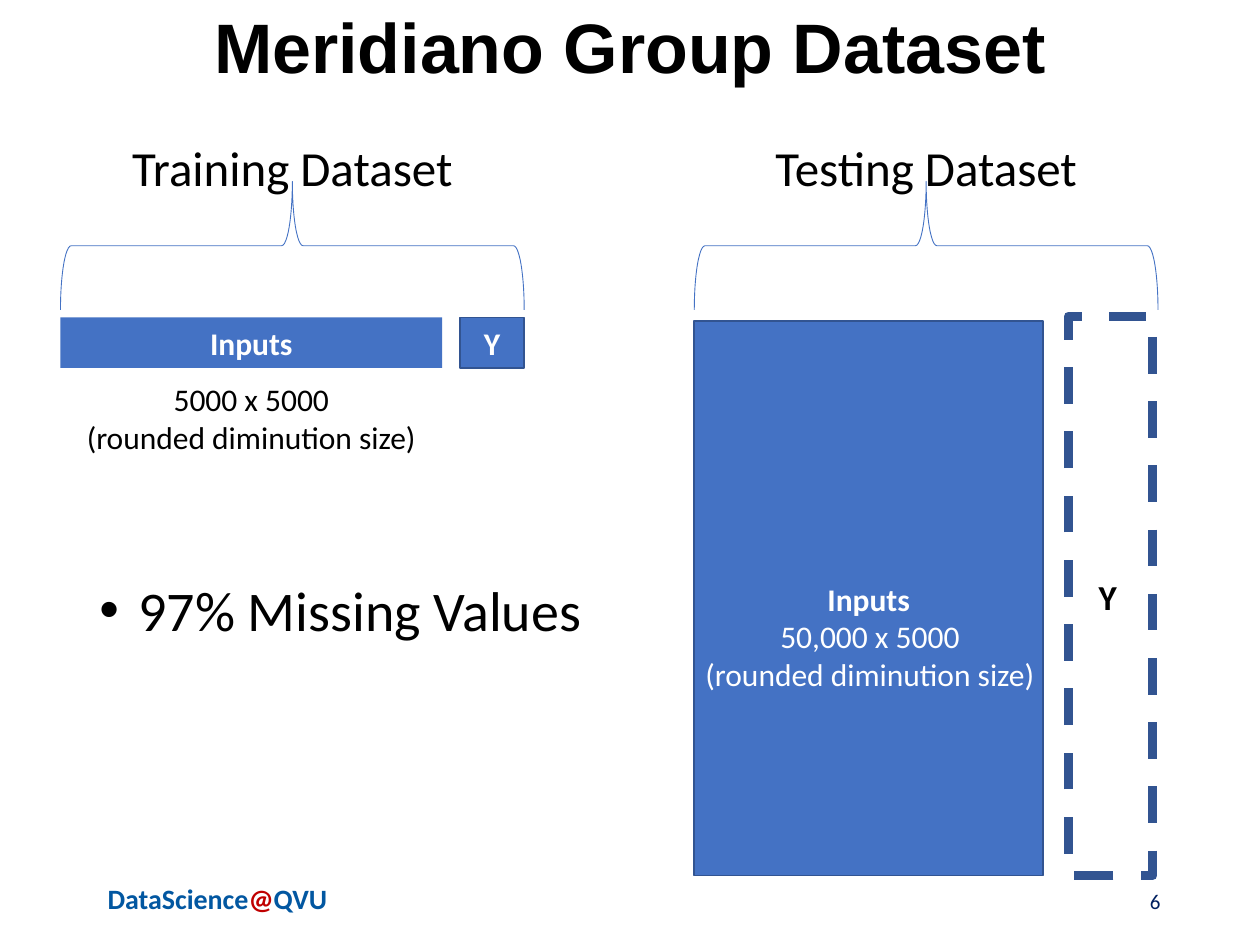
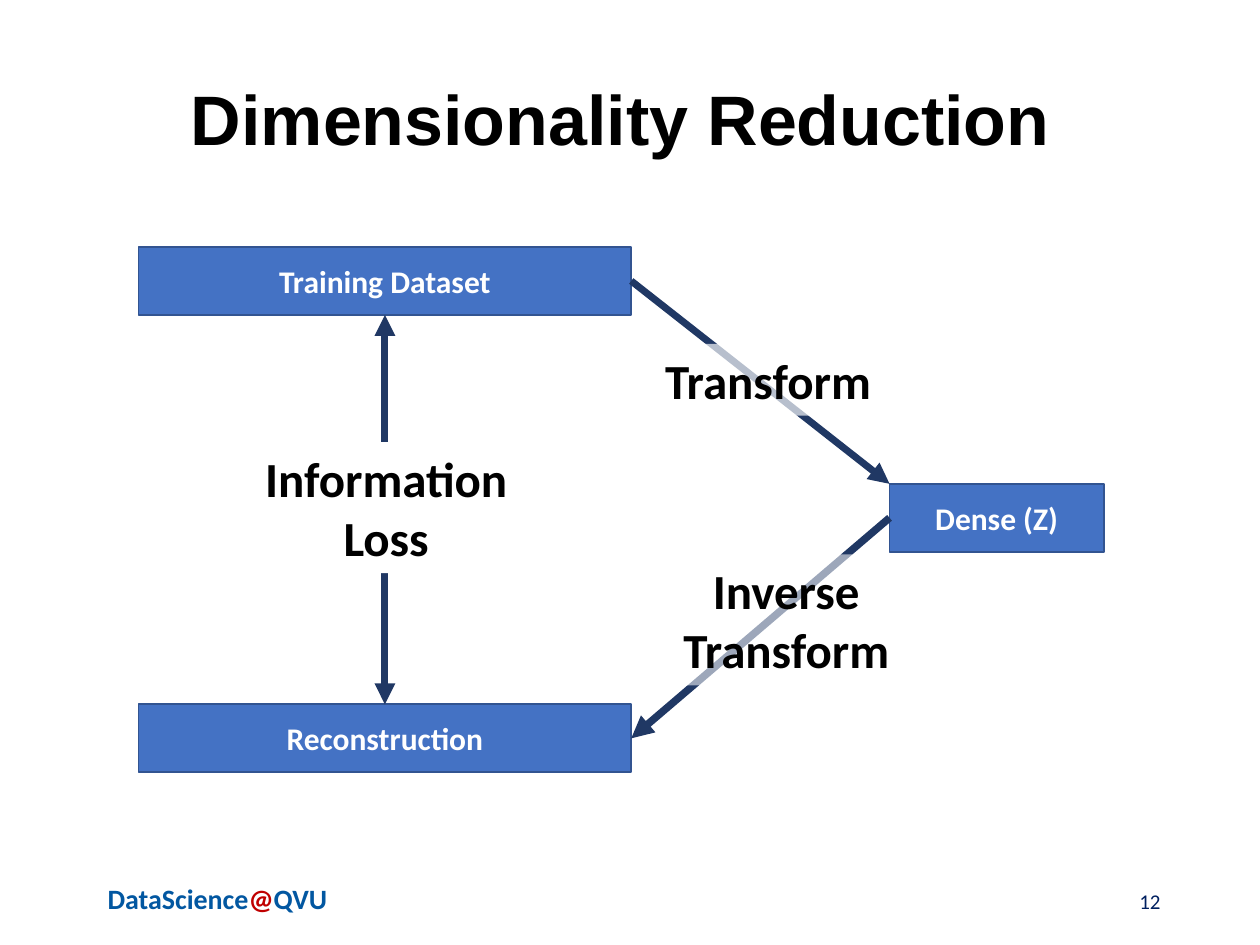
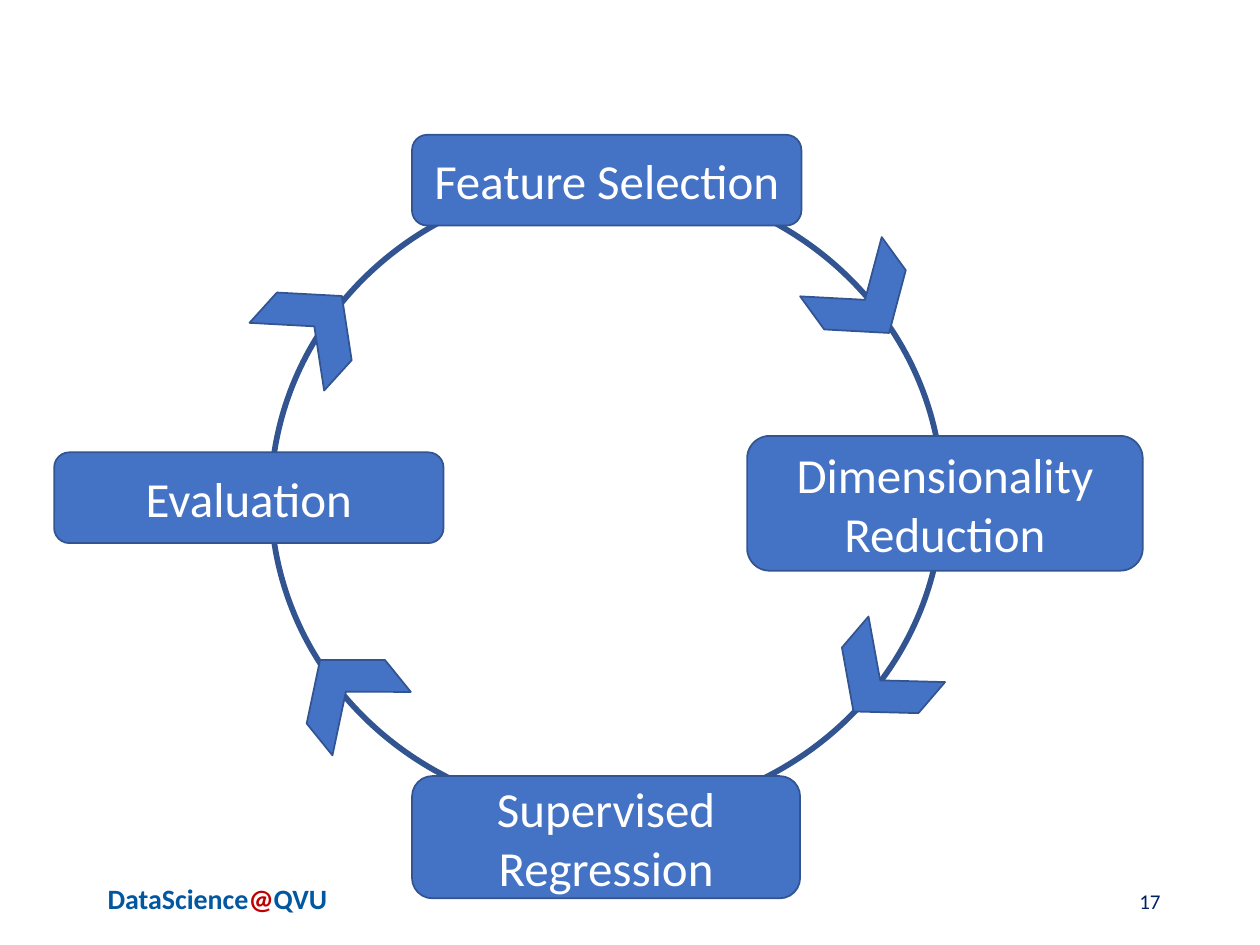
"""Build three slides on a sparse dataset, its reduction and the modelling cycle."""
from dataclasses import dataclass
from typing import NamedTuple, Optional

from lxml.etree import SubElement
from pptx import Presentation
from pptx.dml.color import RGBColor
from pptx.enum.dml import MSO_LINE
from pptx.enum.shapes import MSO_CONNECTOR, MSO_SHAPE as Kind
from pptx.enum.text import MSO_ANCHOR as Anchor, MSO_AUTO_SIZE as AutoSize, PP_ALIGN as Align
from pptx.oxml.ns import qn
from pptx.util import Emu, Pt

EMU_PER_PX = 9144

BLACK = RGBColor(0x00, 0x00, 0x00)
WHITE = RGBColor(0xFF, 0xFF, 0xFF)
BLUE = RGBColor(0x44, 0x72, 0xC4)
EDGE = RGBColor(0x32, 0x54, 0x91)
ARROW = RGBColor(0x20, 0x38, 0x64)
NUMBER = RGBColor(0x00, 0x20, 0x60)
BRAND = RGBColor(0x02, 0x57, 0xA1)
RED = RGBColor(0xC0, 0x00, 0x00)

TOP, LEFT, BOTTOM, RIGHT = range(4)


class Area(NamedTuple):
    left: int
    top: int
    width: int
    height: int


class Look(NamedTuple):
    size: int
    color: RGBColor = BLACK
    bold: bool = False
    name: str = "Calibri"


class Stroke(NamedTuple):
    color: RGBColor
    width: float
    dash: Optional[MSO_LINE] = None


HEADING = Look(40, bold=True, name="Arial")
CAPTION = Look(28)
LABEL = Look(28, bold=True)
BOX_LABEL = Look(18, WHITE, True)
STAGE_LABEL = Look(28, WHITE)
THIN_EDGE = Stroke(EDGE, 1)
BRACE_EDGE = Stroke(BLUE, 0.5)

FOOTER = Area(69, 695, 207, 53)
PAGE_NUMBER = Area(706, 695, 225, 40)


@dataclass(frozen=True)
class Block:
    area: Area
    lines: tuple[str, ...] = ()
    look: Look = BOX_LABEL
    kind: Optional[Kind] = Kind.RECTANGLE
    fill: Optional[RGBColor] = BLUE
    stroke: Optional[Stroke] = THIN_EDGE
    opacity: int = 100
    angle: float = 0
    anchor: Anchor = Anchor.MIDDLE
    align: Align = Align.CENTER
    wrap: bool = True


def px(length: int) -> Emu:
    """Turn pixels into EMU."""
    return Emu(length * EMU_PER_PX)


def place(area: Area) -> tuple[Emu, ...]:
    """Turn an area into EMU."""
    return tuple(px(length) for length in area)


def style(font, look: Look) -> None:
    """Apply a look to a font."""
    font.name, font.size, font.bold = look.name, Pt(look.size), look.bold
    font.color.rgb = look.color


def write(frame, lines: tuple[str, ...], look: Look, align: Align = Align.CENTER,
          anchor: Anchor = Anchor.TOP, wrap: bool = True) -> None:
    """Fill a text frame with one paragraph a line."""
    frame.auto_size = AutoSize.NONE
    frame.word_wrap, frame.vertical_anchor = wrap, anchor
    for index, line in enumerate(lines):
        para = frame.add_paragraph() if index else frame.paragraphs[0]
        para.text, para.alignment = line, align
        style(para.font, look)


def draw(page, block: Block):
    """Draw a block as a preset shape or a text box."""
    if block.kind is None:
        shape = page.shapes.add_textbox(*place(block.area))
    else:
        shape = page.shapes.add_shape(block.kind, *place(block.area))
        shape.shadow.inherit = False
        shape.rotation = block.angle
    if block.fill is None:
        shape.fill.background()
    else:
        shape.fill.solid()
        shape.fill.fore_color.rgb = block.fill
        if block.opacity < 100:
            color = shape.element.spPr.find(f"{qn('a:solidFill')}/{qn('a:srgbClr')}")
            SubElement(color, qn("a:alpha"), val=str(block.opacity * 1000))
    if block.stroke is None:
        shape.line.fill.background()
    else:
        shape.line.color.rgb = block.stroke.color
        shape.line.width = Pt(block.stroke.width)
        if block.stroke.dash is not None:
            shape.line.dash_style = block.stroke.dash
    if block.lines:
        write(shape.text_frame, block.lines, block.look, block.align, block.anchor, block.wrap)
    return shape


def text(area: Area, *lines: str, look: Look, align: Align = Align.CENTER,
         wrap: bool = True, anchor: Anchor = Anchor.TOP) -> Block:
    """Describe a plain text box."""
    return Block(area, lines, look, None, None, None, align=align, wrap=wrap, anchor=anchor)


def veil(area: Area, *lines: str, opacity: int = 100) -> Block:
    """Describe a white label laid over an arrow."""
    return Block(area, lines, LABEL, fill=WHITE, stroke=None, opacity=opacity, anchor=Anchor.TOP)


def add_bullet(para, indent: int) -> None:
    """Give a paragraph a hanging round bullet."""
    properties = para._p.get_or_add_pPr()
    properties.set("marL", str(px(indent)))
    properties.set("indent", str(px(-indent)))
    SubElement(properties, qn("a:buFont"), typeface="Arial")
    SubElement(properties, qn("a:buChar"), char="•")


def add_arrow(page, start, start_side: int, end, end_side: Optional[int],
              width: float, heads: tuple[str, ...] = ("tailEnd",)) -> None:
    """Join two boxes; without an end side the arrow meets the end's top left corner."""
    arrow = page.shapes.add_connector(MSO_CONNECTOR.STRAIGHT, start.left, start.top, end.left, end.top)
    arrow.begin_connect(start, start_side)
    if end_side is not None:
        arrow.end_connect(end, end_side)
    arrow.line.color.rgb = ARROW
    arrow.line.width = Pt(width)
    outline = arrow.line._get_or_add_ln()
    for head in heads:
        SubElement(outline, qn(f"a:{head}"), type="triangle")
    SubElement(arrow.element.spPr, qn("a:effectLst"))


def add_page(deck, number: int, title: str = "", title_area: Optional[Area] = None):
    """Add a page with its footer, number and optional title."""
    page = deck.slides.add_slide(deck.slide_layouts[5 if title_area else 6])
    footer = draw(page, text(FOOTER, "", look=Look(16, BRAND, True)))
    para = footer.text_frame.paragraphs[0]
    for part, color in (("DataScience", BRAND), ("@", RED), ("QVU", BRAND)):
        span = para.add_run()
        span.text = part
        style(span.font, Look(16, color, True))
    if title_area:
        heading = page.shapes.title
        heading.left, heading.top, heading.width, heading.height = place(title_area)
        write(heading.text_frame, (title,), HEADING, anchor=Anchor.MIDDLE)
        heading.text_frame.paragraphs[0].line_spacing = 0.9
    draw(page, text(PAGE_NUMBER, str(number), look=Look(12, NUMBER),
                    align=Align.RIGHT, anchor=Anchor.MIDDLE))
    return page


def build_dataset(deck) -> None:
    """Compare the training and testing datasets."""
    page = add_page(deck, 6, "Meridiano Group Dataset", Area(69, -7, 862, 94))
    size_note = "(rounded diminution size)"
    for brace_left, caption_left, caption in ((181, 35, "Training Dataset"), (684, 538, "Testing Dataset")):
        draw(page, Block(Area(brace_left, 11, 102, 368), kind=Kind.LEFT_BRACE,
                         fill=None, stroke=BRACE_EDGE, angle=90))
        draw(page, text(Area(caption_left, 104, 394, 57), caption, look=CAPTION))
    for block in (
        Block(Area(48, 252, 303, 40), ("Inputs",), stroke=None, anchor=Anchor.TOP),
        Block(Area(365, 252, 51, 40), ("Y",)),
        Block(Area(848, 251, 67, 444), fill=None, stroke=Stroke(EDGE, 5.25, MSO_LINE.DASH)),
        text(Area(862, 452, 35, 44), "Y", look=Look(20, bold=True), align=Align.LEFT, wrap=False),
        Block(Area(551, 255, 277, 440), ("Inputs",)),
        text(Area(57, 297, 285, 71), "5000 x 5000", size_note, look=Look(18), wrap=False),
        text(Area(548, 485, 285, 71), "50,000 x 5000", size_note, look=Look(18, WHITE), wrap=False),
    ):
        draw(page, block)
    finding = draw(page, text(Area(69, 452, 448, 64), "97% Missing Values",
                              look=Look(32), align=Align.LEFT))
    add_bullet(finding.text_frame.paragraphs[0], 31)


def build_reduction(deck) -> None:
    """Show the transform, its inverse and the information loss."""
    page = add_page(deck, 12, "Dimensionality Reduction ", Area(69, 34, 862, 127))
    training, reconstruction, dense = (
        draw(page, Block(area, (label,))) for area, label in (
            (Area(110, 196, 391, 54), "Training Dataset"),
            (Area(110, 559, 391, 54), "Reconstruction"),
            (Area(706, 384, 170, 54), "Dense (Z)"),
        )
    )
    add_arrow(page, training, RIGHT, dense, None, 4)
    draw(page, veil(Area(501, 273, 217, 57), "Transform", opacity=68))
    add_arrow(page, dense, LEFT, reconstruction, RIGHT, 4.25)
    draw(page, veil(Area(530, 440, 188, 104), "Inverse Transform", opacity=56))
    add_arrow(page, training, BOTTOM, reconstruction, TOP, 4, ("headEnd", "tailEnd"))
    draw(page, veil(Area(193, 351, 227, 104), "Information", "Loss"))


def build_cycle(deck) -> None:
    """Draw the four stages around a ring."""
    page = add_page(deck, 17)
    draw(page, Block(Area(215, 143, 533, 504), kind=Kind.OVAL, fill=None, stroke=Stroke(EDGE, 3.25)))
    for area, stage in (
        (Area(327, 107, 309, 72), "Feature Selection"),
        (Area(593, 346, 314, 107), "Dimensionality Reduction"),
        (Area(327, 616, 308, 97), "Supervised Regression"),
        (Area(43, 359, 309, 72), "Evaluation"),
    ):
        draw(page, Block(area, (stage,), STAGE_LABEL, Kind.ROUNDED_RECTANGLE))
    for left, top, angle in ((217, 219, 312.2), (242, 509, 231), (654, 198, 54), (666, 500, 130.6)):
        draw(page, Block(Area(left, top, 65, 80), kind=Kind.CHEVRON, angle=angle))


def main() -> None:
    """Build and save the deck."""
    deck = Presentation()
    deck.slide_width, deck.slide_height = px(1000), px(750)
    build_dataset(deck)
    build_reduction(deck)
    build_cycle(deck)
    deck.save("out.pptx")


if __name__ == "__main__":
    main()
